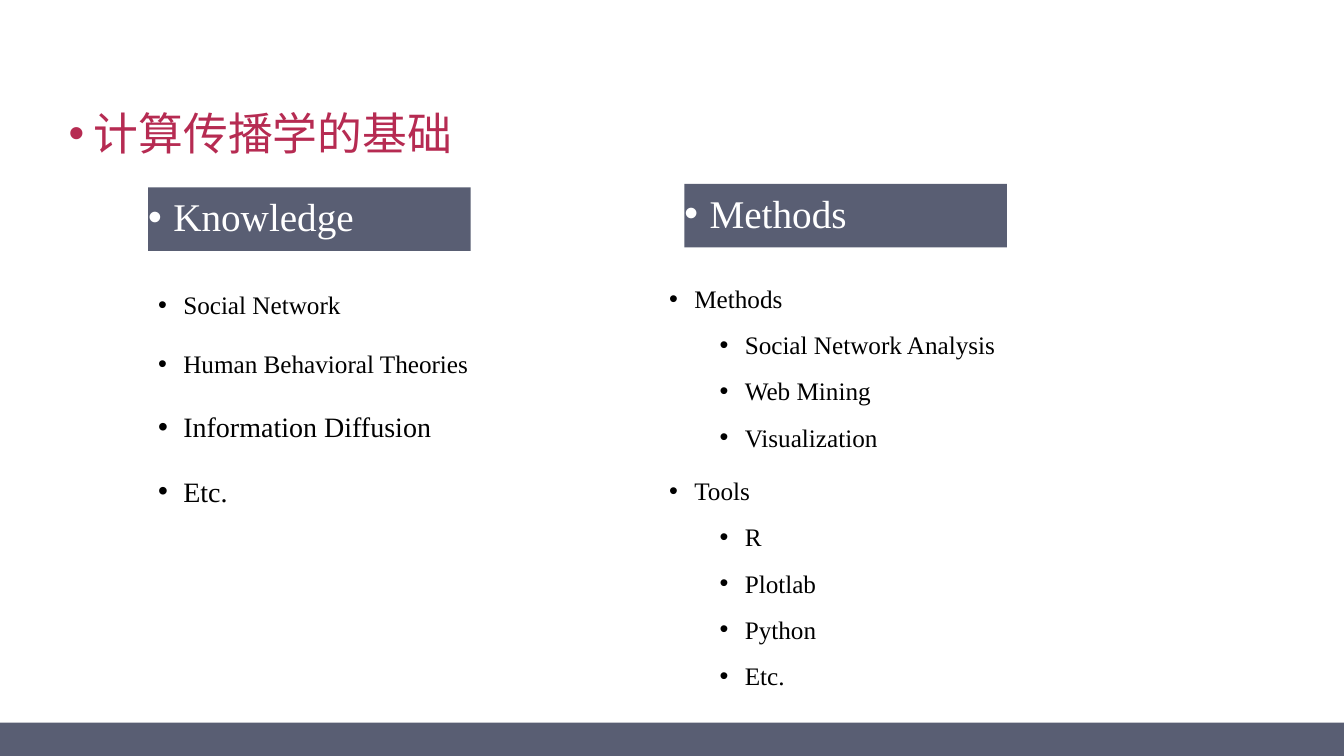
"""Build a slide on the foundations of computational communication."""
from lxml import etree
from pptx import Presentation
from pptx.dml.color import RGBColor
from pptx.enum import shapes, text
from pptx.oxml import ns
from pptx.util import Pt

SLATE = RGBColor(0x59, 0x5E, 0x73)
CRIMSON = RGBColor(0xB6, 0x2B, 0x52)
BLACK = RGBColor(0, 0, 0)
WHITE = RGBColor(255, 255, 255)
FONT = "Times New Roman"
WIDTH, HEIGHT = 960, 540
BAR_TOP = 516.24

TITLE = "计算传播学的基础"
COLUMNS = [
    {
        "heading": "Knowledge",
        "heading_at": (105.84, 133.92),
        "list_box": (105.84, 192.24, 408.24, 261.36),
        "line_spacing": 1.5,
        "items": [
            ("Social Network", 0, 18),
            ("Human Behavioral Theories", 0, 18),
            ("Information Diffusion", 0, 20),
            ("Etc.", 0, 20),
        ],
    },
    {
        "heading": "Methods",
        "heading_at": (488.88, 131.4),
        "list_box": (470.88, 192.24, 425.52, 301.68),
        "line_spacing": 1.3,
        "items": [
            ("Methods", 0, 18),
            ("Social Network Analysis", 1, 18),
            ("Web Mining", 1, 18),
            ("Visualization", 1, 18),
            ("Tools", 0, 18),
            ("R", 1, 18),
            ("Plotlab", 1, 18),
            ("Python", 1, 18),
            ("Etc.", 1, 18),
        ],
    },
]


def write_bullets(box, items, *, color, line_spacing=0.9,
                  anchor=text.MSO_ANCHOR.TOP, left=7.2, right=7.2):
    """Fill a shape with bulleted (text, level, size) items."""
    frame = box.text_frame
    frame.word_wrap = True
    frame.auto_size = text.MSO_AUTO_SIZE.NONE
    frame.vertical_anchor = anchor
    frame.margin_left, frame.margin_right = Pt(left), Pt(right)
    frame.margin_top = frame.margin_bottom = Pt(3.6)
    for index, (words, level, size) in enumerate(items):
        para = frame.add_paragraph() if index else frame.paragraphs[0]
        para.level = level
        para.alignment = text.PP_ALIGN.LEFT
        para.line_spacing = line_spacing
        para.space_before = Pt(5 if level else 10)
        span = para.add_run()
        span.text = words
        span.font.name = FONT
        span.font.size = Pt(size)
        span.font.color.rgb = color
        props = para._p.get_or_add_pPr()
        props.set("marL", str(Pt(18 + 36 * level)))
        props.set("indent", str(Pt(-18)))
        etree.SubElement(props, ns.qn("a:buFont")).set("typeface", "Arial")
        etree.SubElement(props, ns.qn("a:buChar")).set("char", "•")


def add_bar(page, left, top, width, height):
    """Add a plain slate rectangle."""
    bar = page.shapes.add_shape(
        shapes.MSO_SHAPE.RECTANGLE, Pt(left), Pt(top), Pt(width), Pt(height))
    bar.shadow.inherit = False
    bar.fill.solid()
    bar.fill.fore_color.rgb = SLATE
    bar.line.fill.background()
    return bar


def main():
    """Lay out the title, the two columns and the footer bar."""
    deck = Presentation()
    deck.slide_width, deck.slide_height = Pt(WIDTH), Pt(HEIGHT)
    page = deck.slides.add_slide(deck.slide_layouts[5])

    add_bar(page, 0, BAR_TOP, WIDTH, HEIGHT - BAR_TOP)
    title = page.shapes.title
    title.left, title.top = Pt(41.76), Pt(76.32)
    title.width, title.height = Pt(858.96), Pt(45.36)
    write_bullets(title, [(TITLE, 0, 32)], color=CRIMSON)

    for column in COLUMNS:
        box = page.shapes.add_textbox(*map(Pt, column["list_box"]))
        write_bullets(box, column["items"], color=BLACK,
                      line_spacing=column["line_spacing"])
        heading = add_bar(page, *column["heading_at"], 230.4, 45.36)
        write_bullets(heading, [(column["heading"], 0, 28)], color=WHITE,
                      anchor=text.MSO_ANCHOR.MIDDLE, left=0, right=25.2)

    deck.save("out.pptx")


if __name__ == "__main__":
    main()
